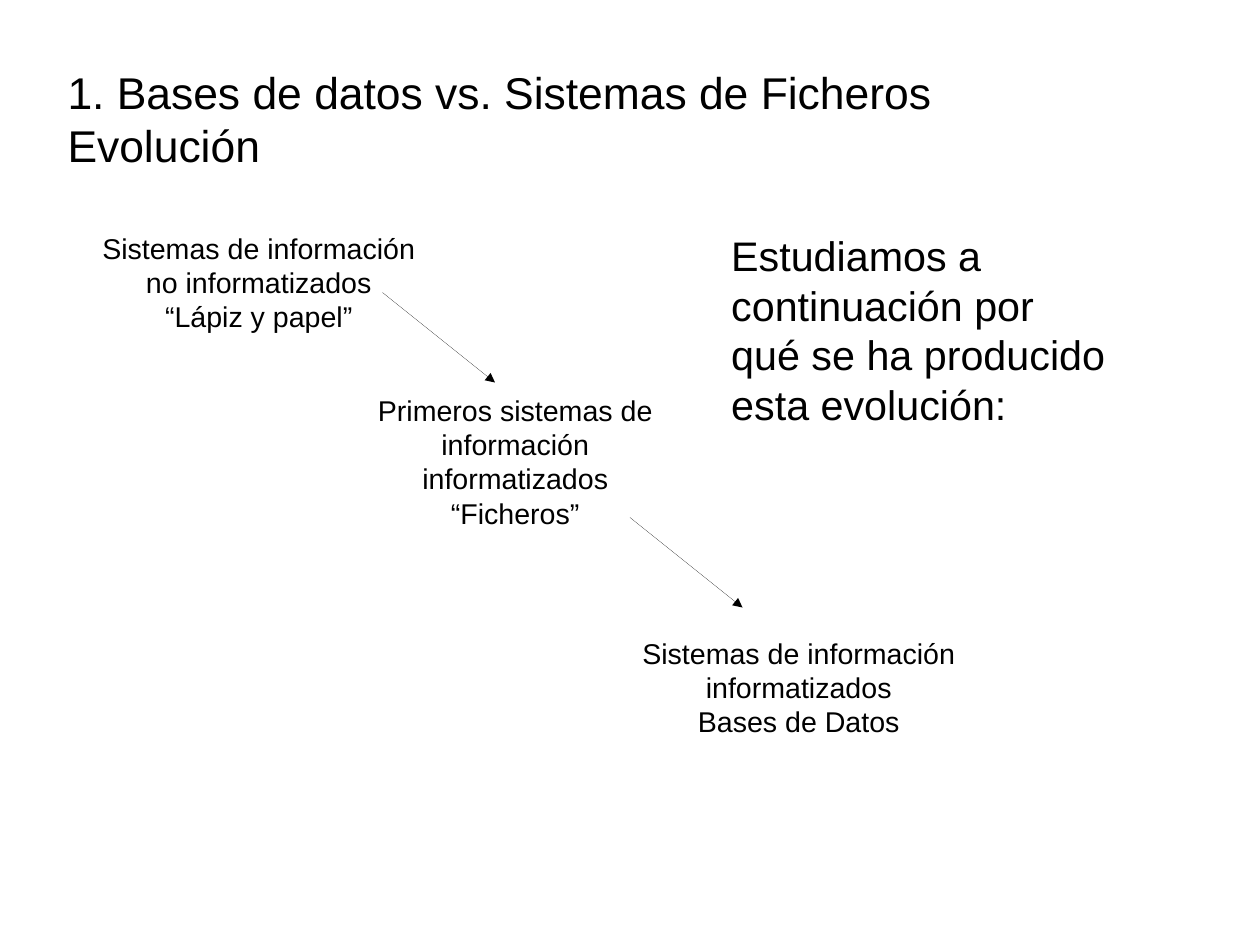
from pptx import Presentation
from pptx.dml.color import RGBColor
from pptx.enum.shapes import MSO_CONNECTOR as Connector
from pptx.enum.text import MSO_ANCHOR as Anchor, MSO_AUTO_SIZE as AutoSize, PP_ALIGN as Align
from pptx.oxml.ns import qn
from pptx.util import Pt
from lxml.etree import SubElement

PX = 9000  # 40 px to the centimetre
TITLE_ONLY = 5
COLORS = {"paper": "FFFFFF", "ink": "000000"}


class Sheet:
    font = "Arial"

    def __init__(self, deck):
        self.slide = deck.slides.add_slide(deck.slide_layouts[TITLE_ONLY])
        fill = self.slide.background.fill
        fill.solid()
        fill.fore_color.rgb = self.color("paper")

    def color(self, name):
        return RGBColor.from_string(COLORS[name])

    def format_text(self, frame, size, align):
        for para in frame.paragraphs:
            para.alignment = align
            for span in para.runs:
                span.font.name = self.font
                span.font.size = Pt(size)
                span.font.color.rgb = self.color("ink")

    def title(self, text, left, top, width, height):
        box = self.slide.shapes.title
        box.left, box.top, box.width, box.height = (
            n * PX for n in (left, top, width, height))
        frame = box.text_frame
        frame.text = text
        frame.word_wrap = True
        frame.auto_size = AutoSize.NONE
        frame.vertical_anchor = Anchor.MIDDLE
        frame.margin_left = frame.margin_right = 0
        frame.margin_top = frame.margin_bottom = 0
        self.format_text(frame, 28, Align.LEFT)

    def text(self, text, left, top, width, height, size=18, align=Align.CENTER):
        box = self.slide.shapes.add_textbox(
            *(n * PX for n in (left, top, width, height)))
        frame = box.text_frame
        frame.text = text
        frame.word_wrap = True
        frame.auto_size = AutoSize.SHAPE_TO_FIT_TEXT
        self.format_text(frame, size, align)

    def arrow(self, left, top, width, height):
        """Draw a hairline down to the right, with a head at its end."""
        ends = (left, top, left + width, top + height)
        arrow = self.slide.shapes.add_connector(
            Connector.STRAIGHT, *(n * PX for n in ends))
        arrow.line.color.rgb = self.color("ink")
        properties = arrow.element.spPr
        line = properties.find(qn("a:ln"))
        line.set("w", "0")
        SubElement(line, qn("a:tailEnd"), type="triangle")
        SubElement(properties, qn("a:effectLst"))


def main():
    deck = Presentation()
    deck.slide_width, deck.slide_height = 1120 * PX, 840 * PX
    sheet = Sheet(deck)

    sheet.title("1. Bases de datos vs. Sistemas de Ficheros\vEvolución",
                60, 40, 1008, 130)

    stages = [
        ("Primeros sistemas de información informatizados\n“Ficheros”", 308, 344, 124),
        ("Sistemas de información no informatizados\n“Lápiz y papel”", 80, 200, 96),
        ("Sistemas de información informatizados\nBases de Datos", 560, 560, 96),
    ]
    for text, left, top, height in stages:
        sheet.text(text, left, top, 300, height)

    for left, top in [(340, 260), (560, 460)]:
        sheet.arrow(left, top, 100, 80)

    sheet.text("Estudiamos a continuación por qué se ha producido esta evolución:",
               640, 200, 360, 174, size=26, align=Align.LEFT)
    deck.save("out.pptx")


if __name__ == "__main__":
    main()
